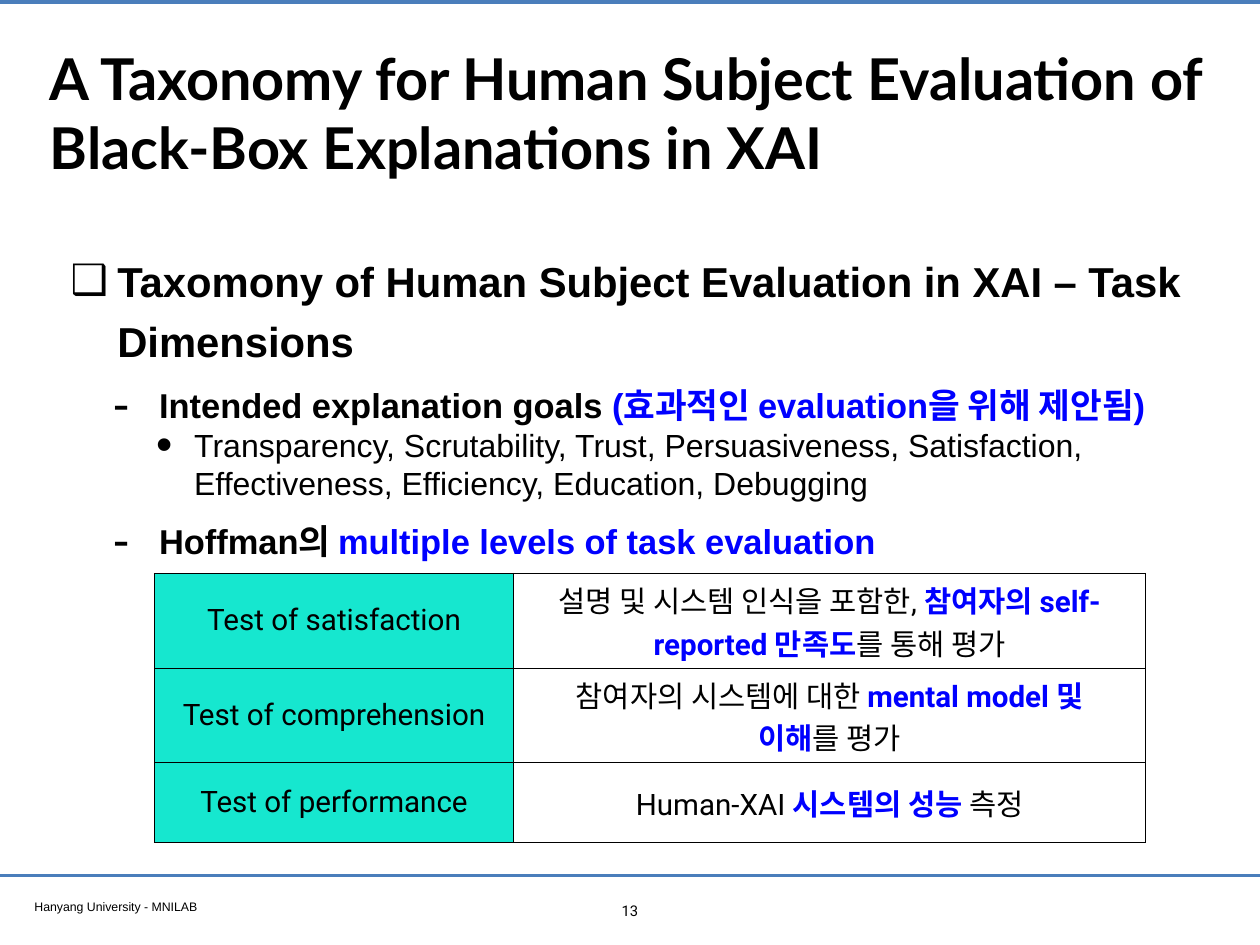
from lxml import etree
from pptx import Presentation
from pptx.dml.color import RGBColor
from pptx.enum.shapes import MSO_CONNECTOR
from pptx.enum.text import MSO_ANCHOR, PP_ALIGN
from pptx.oxml.ns import qn
from pptx.util import Pt

STRAIGHT = MSO_CONNECTOR.STRAIGHT
MIDDLE = MSO_ANCHOR.MIDDLE
TOP = MSO_ANCHOR.TOP
CENTER = PP_ALIGN.CENTER
LEFT = PP_ALIGN.LEFT
BLACK = "000000"
BLUE = "0000FF"
RULE_BLUE = "4A7EBB"
TURQUOISE = "16E7CF"


def add_box(left, top, width, height, anchor=TOP):
    frame = page.shapes.add_textbox(Pt(left), Pt(top), Pt(width), Pt(height)).text_frame
    frame.word_wrap = True
    frame.vertical_anchor = anchor
    frame.margin_left = frame.margin_right = Pt(4.5)
    frame.margin_top = frame.margin_bottom = Pt(4.5)
    return frame


def write(para, spans, size, font, align=LEFT):
    para.alignment = align
    for text, color, bold in spans:
        if text.startswith("\n"):
            para.add_line_break()
        span = para.add_run()
        span.text = text.lstrip("\n")
        span.font.size = Pt(size)
        span.font.name = font
        span.font.bold = bold
        span.font.color.rgb = RGBColor.from_string(color)


deck = Presentation()
deck.slide_width = Pt(1024)
deck.slide_height = Pt(768)
page = deck.slides.add_slide(deck.slide_layouts[6])

for height, weight in [(1.5, 3.2), (711.5, 2)]:
    rule = page.shapes.add_connector(STRAIGHT, Pt(0), Pt(height), Pt(1024), Pt(height))
    rule.line.color.rgb = RGBColor.from_string(RULE_BLUE)
    rule.line.width = Pt(weight)
    etree.SubElement(rule._element.spPr, qn("a:effectLst"))

title = add_box(36, 20, 951, 142, MIDDLE)
write(title.paragraphs[0],
      [("A Taxonomy for Human Subject Evaluation of Black-Box Explanations in XAI", BLACK, True)],
      46.8, "Lato")

footer = add_box(23.5, 726.5, 393, 19)
write(footer.paragraphs[0], [("Hanyang University - MNILAB", BLACK, False)], 10, "Arial")

number = add_box(498, 728.5, 28, 22)
write(number.paragraphs[0], [("13", BLACK, False)], 12, "Roboto", CENTER)

levels = [
    {"size": 34, "left": 38, "hang": 38, "bullet": "❑", "scale": 100, "lines": 1.2, "before": 8},
    {"size": 28, "left": 72, "hang": 37.5, "bullet": "-", "scale": 145, "lines": 1.2, "before": 8},
    {"size": 26, "left": 100.5, "hang": 31, "bullet": "•", "scale": 145, "lines": 1, "before": 0},
]
outline = [
    (0, [("Taxomony of Human Subject Evaluation in XAI – Task Dimensions", BLACK, True)]),
    (1, [("Intended explanation goals ", BLACK, True),
         ("(효과적인 evaluation을 위해 제안됨)", BLUE, True)]),
    (2, [("Transparency, Scrutability, Trust, Persuasiveness, Satisfaction, "
          "Effectiveness, Efficiency, Education, Debugging", BLACK, False)]),
    (1, [("Hoffman의 ", BLACK, True), ("multiple levels of task evaluation", BLUE, True)]),
]
body = add_box(52.8, 194.8, 934.5, 268.5)
for index, (depth, spans) in enumerate(outline):
    level = levels[depth]
    para = body.add_paragraph() if index else body.paragraphs[0]
    para.level = depth
    para.line_spacing = level["lines"]
    para.space_before = Pt(level["before"] if index else 0)
    props = para._p.get_or_add_pPr()
    props.set("marL", str(Pt(level["left"])))
    props.set("indent", str(-Pt(level["hang"])))
    etree.SubElement(props, qn("a:buSzPct"), val=str(level["scale"] * 1000))
    etree.SubElement(props, qn("a:buFont"), typeface="Arial")
    etree.SubElement(props, qn("a:buChar"), char=level["bullet"])
    write(para, spans, level["size"], "Arial")

tests = [
    (77.2, "Test of satisfaction",
     [("설명 및 시스템 인식을 포함한, ", BLACK, False),
      ("참여자의 self-reported 만족도", BLUE, True),
      ("를 통해 평가", BLACK, False)]),
    (76.6, "Test of comprehension",
     [("참여자의 시스템에 대한 ", BLACK, False),
      ("mental model 및", BLUE, True),
      ("\n이해", BLUE, True),
      ("를 평가", BLACK, False)]),
    (64.8, "Test of performance",
     [("Human-XAI ", BLACK, False),
      ("시스템의 성능", BLUE, True),
      (" 측정", BLACK, False)]),
]
table = page.shapes.add_table(3, 2, Pt(125.5), Pt(466), Pt(805.5), Pt(218.6)).table
table.first_row = False
table.horz_banding = False
table.columns[0].width = Pt(292)
table.columns[1].width = Pt(513.5)
for row, (height, test, measure) in enumerate(tests):
    table.rows[row].height = Pt(height)
    for column, spans in enumerate([[(test, BLACK, False)], measure]):
        cell = table.cell(row, column)
        cell.vertical_anchor = MIDDLE
        write(cell.text_frame.paragraphs[0], spans, 24, "Roboto", CENTER)
        props = cell._tc.get_or_add_tcPr()
        for side in ("L", "R", "T", "B"):
            border = etree.SubElement(props, qn("a:ln" + side), w=str(Pt(1)))
            paint = etree.SubElement(border, qn("a:solidFill"))
            etree.SubElement(paint, qn("a:srgbClr"), val=BLACK)
        if column == 0:
            cell.fill.solid()
            cell.fill.fore_color.rgb = RGBColor.from_string(TURQUOISE)
        else:
            cell.fill.background()

deck.save("out.pptx")
